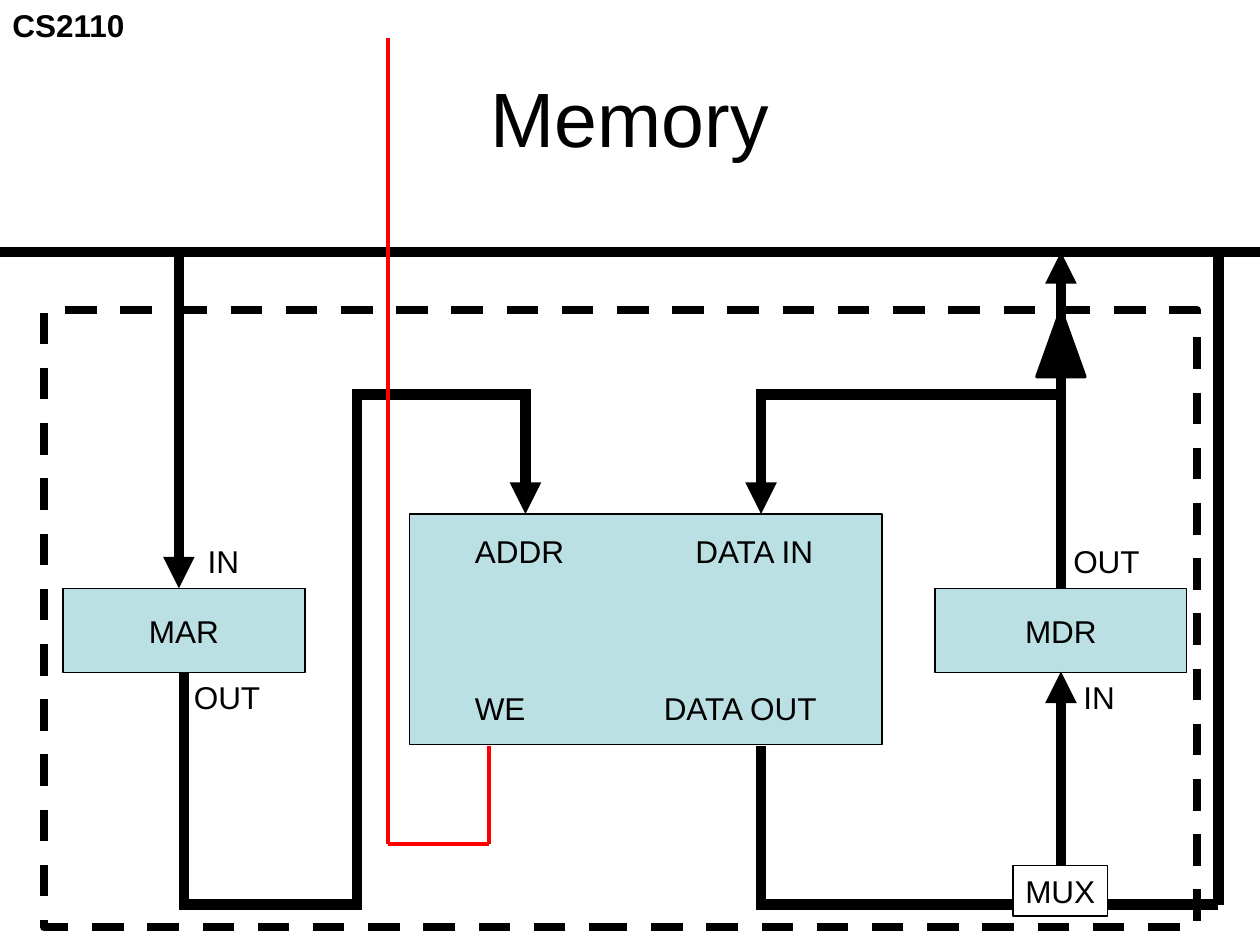
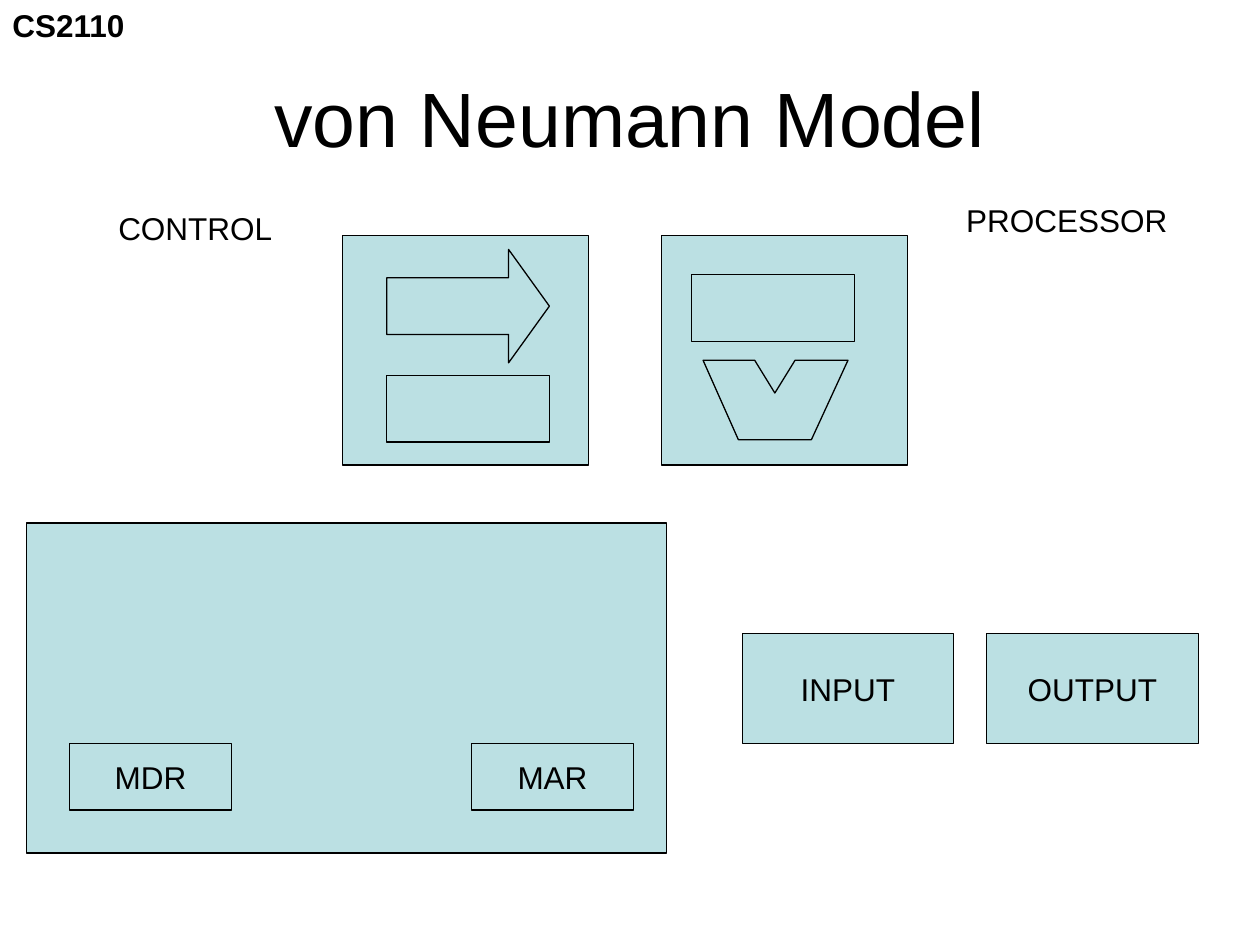
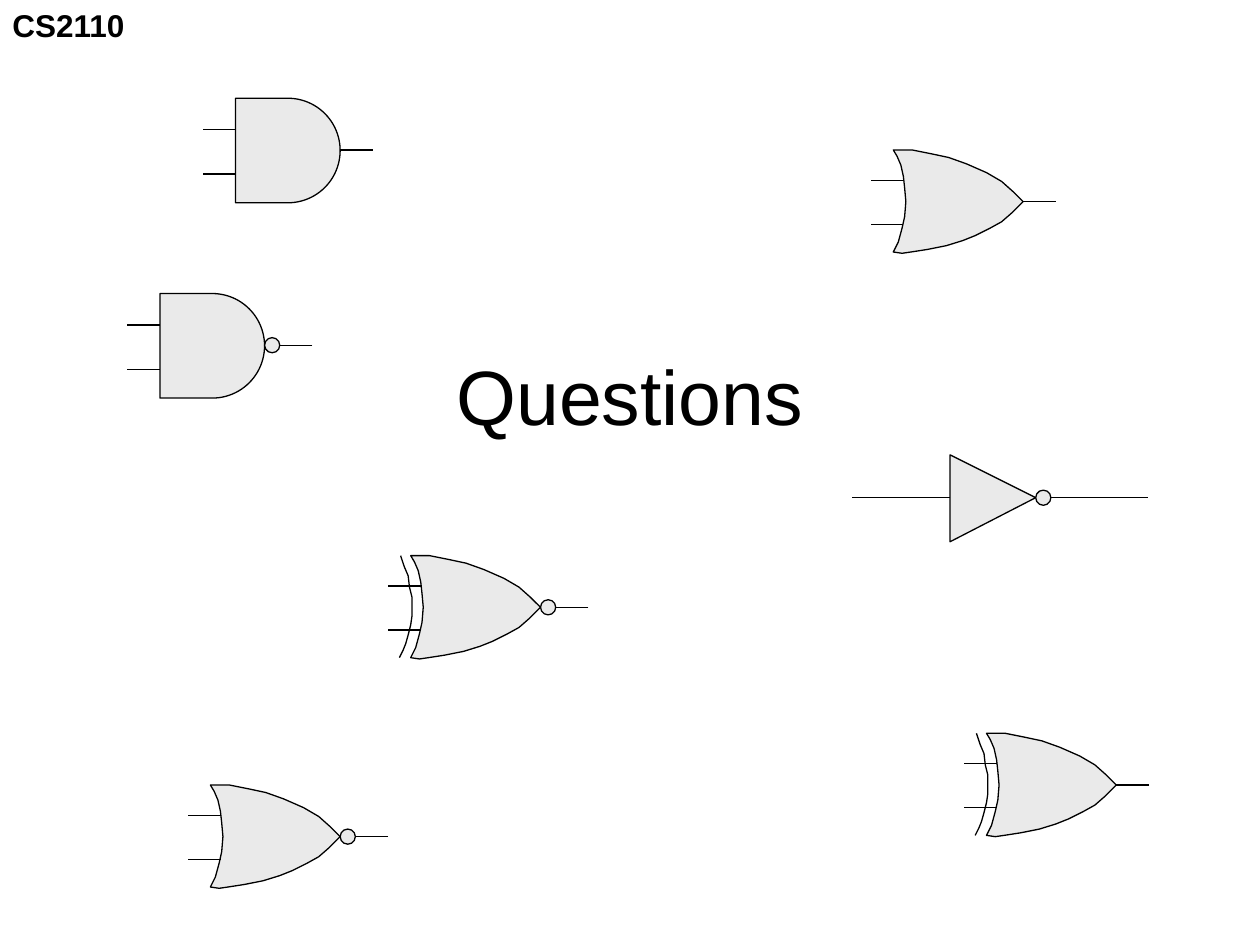
from dataclasses import dataclass

from lxml import etree
from pptx import Presentation
from pptx.dml.color import RGBColor
from pptx.enum import dml, shapes, text
from pptx.oxml import ns
from pptx.util import Inches, Pt

BLACK = RGBColor(0x00, 0x00, 0x00)
WHITE = RGBColor(0xFF, 0xFF, 0xFF)
RED = RGBColor(0xFF, 0x00, 0x00)
TEAL = RGBColor(0xBB, 0xE0, 0xE3)
GREY = RGBColor(0xEA, 0xEA, 0xEA)
FONT = "Arial"
THIN, SIGNAL, WIRE = 0.75, 2.25, 6
MSO = shapes.MSO_SHAPE
LABEL_H = 0.4

# Gate outlines, in hundredths of an inch from the top left of the body
OR_BODY = [(0, 0), (15, 0), (30, 3), (44, 6), (58, 11), (74, 18), (86, 25), (95, 33),
           (103, 41), (94, 50), (86, 57), (77, 62), (65, 68), (55, 72), (42, 76),
           (27, 79), (14, 81), (7, 82), (0, 81), (4, 73), (7, 62), (9, 53), (10, 41),
           (9, 30), (8, 21), (6, 12), (3, 5)]
XOR_ARC = [(-9, 81), (-6, 75), (-4, 70), (-2, 63), (0, 55), (1, 48), (1, 41),
           (1, 33), (-1, 25), (-2, 16), (-5, 9), (-7, 3), (-8, 0)]
NOT_BODY = [(0, 0), (0, 69), (68, 34)]
ALU_BODY = [(0, 0), (41, 0), (57, 26), (73, 0), (115, 0), (86, 63), (28, 63)]


def sub(parent, tag, **attrs):
    return etree.SubElement(parent, ns.qn(tag), **attrs)


def write(tf, words, size=18, bold=False, align=text.PP_ALIGN.LEFT):
    p = tf.paragraphs[0]
    p.alignment = align
    r = p.add_run()
    r.text = words
    r.font.name, r.font.size, r.font.bold = FONT, Pt(size), bold
    r.font.color.rgb = BLACK


def paint(sp, fill, weight=THIN):
    sp.shadow.inherit = False
    if fill is None:
        sp.fill.background()
    else:
        sp.fill.solid()
        sp.fill.fore_color.rgb = fill
    sp.line.color.rgb = BLACK
    sp.line.width = Pt(weight)
    return sp


@dataclass
class Region:
    """Draws on a shape tree, measuring in inches from its own corner."""
    tree: object
    x: float = 0
    y: float = 0

    def at(self, x, y):
        return Inches(self.x + x), Inches(self.y + y)

    def box(self, x, y, w, h, words="", fill=TEAL, kind=MSO.RECTANGLE, weight=THIN):
        sp = self.tree.add_shape(kind, *self.at(x, y), Inches(w), Inches(h))
        paint(sp, fill, weight)
        if words:
            tf = sp.text_frame
            tf.word_wrap = False
            tf.vertical_anchor = text.MSO_ANCHOR.MIDDLE
            write(tf, words, align=text.PP_ALIGN.CENTER)
        return sp

    def label(self, x, y, w, words, bold=False):
        tb = self.tree.add_textbox(*self.at(x, y), Inches(w), Inches(LABEL_H))
        tf = tb.text_frame
        tf.word_wrap = False
        tf.auto_size = text.MSO_AUTO_SIZE.SHAPE_TO_FIT_TEXT
        write(tf, words, bold=bold)

    def line(self, x1, y1, x2, y2, color=BLACK, weight=THIN, arrow=False,
             kind=shapes.MSO_CONNECTOR.STRAIGHT):
        c = self.tree.add_connector(kind, *self.at(x1, y1), *self.at(x2, y2))
        c.line.color.rgb = color
        c.line.width = Pt(weight)
        ln = c.line._get_or_add_ln()
        sub(ln, "a:miter", lim="800000")
        if arrow:
            sub(ln, "a:tailEnd", type="triangle")
        sub(c._element.spPr, "a:effectLst")
        return c

    def elbow(self, x1, y1, x2, y2, bends):
        """Upward wire with an arrow; bends are its levels, y and x in turn."""
        mid_x, mid_y = (x1 + x2) / 2, (y1 + y2) / 2
        half_w, half_h = (y1 - y2) / 2, abs(x2 - x1) / 2
        rightward = x2 > x1
        if not rightward:
            half_w = -half_w
        c = self.line(mid_x + half_w, mid_y + half_h, mid_x - half_w, mid_y - half_h,
                      weight=WIRE, arrow=True, kind=shapes.MSO_CONNECTOR.ELBOW)
        pr = c._element.spPr
        pr.find(ns.qn("a:xfrm")).set("rot", str((90 if rightward else 270) * 60000))
        geom = pr.find(ns.qn("a:prstGeom"))
        geom.set("prst", f"bentConnector{len(bends) + 2}")
        guides = geom.find(ns.qn("a:avLst"))
        for i, bend in enumerate(bends):
            share = (bend - x1) / (x2 - x1) if i % 2 else (bend - y1) / (y2 - y1)
            sub(guides, "a:gd", name=f"adj{i + 1}", fmla=f"val {round(share * 100000)}")

    def outline(self, x, y, points, fill, close=True):
        fb = self.tree.build_freeform(*points[0], scale=Inches(0.01))
        fb.add_line_segments(points[1:], close=close)
        paint(fb.convert_to_shape(*self.at(x, y)), fill)


def new_slide(prs, title, x=0.5, y=0.3, w=9, h=1.25):
    s = prs.slides.add_slide(prs.slide_layouts[6])
    Region(s.shapes).label(0, 0, 1.1, "CS2110", bold=True)
    tb = s.shapes.add_textbox(Inches(x), Inches(y), Inches(w), Inches(h))
    tf = tb.text_frame
    tf.word_wrap = True
    tf.vertical_anchor = text.MSO_ANCHOR.MIDDLE
    write(tf, title, size=44, align=text.PP_ALIGN.CENTER)
    return s


# Slide 1: memory with its address and data registers
def memory_datapath(s, x, y, w, h):
    g = Region(s.shapes, x, y)
    bus_y, low_y, high_y = -0.46, 4.72, 0.67
    reg_top, reg_bottom, ram_top, ram_bottom = 2.21, 2.87, 1.62, 3.46
    addr_x, data_x, mdr_x, tap_x = 3.82, 5.69, 8.07, 9.32

    # Memory and registers
    g.box(2.9, ram_top, 3.75, 1.83)
    g.box(0.15, reg_top, 1.92, 0.67, "MAR")
    g.box(7.07, reg_top, 2, 0.67, "MDR")

    # Wires and bus
    g.line(1.07, bus_y, 1.07, reg_top, weight=WIRE, arrow=True)
    g.elbow(1.11, reg_bottom, addr_x, ram_top, [low_y, 2.48, high_y])
    g.elbow(data_x, ram_bottom, mdr_x, reg_bottom, [low_y])
    g.elbow(mdr_x, reg_top, data_x, ram_top, [high_y])
    g.line(mdr_x, 0.71, mdr_x, bus_y, weight=WIRE, arrow=True)
    g.line(-x, bus_y, 10 - x, bus_y, weight=WIRE)
    g.line(tap_x, bus_y, tap_x, low_y, weight=WIRE)
    g.line(tap_x, low_y, mdr_x, low_y, weight=WIRE)

    # Port labels
    for lx, ly, lw, words in [
            (3.32, 1.71, 0.91, "ADDR"), (5.07, 1.71, 1.18, "DATA IN"),
            (3.32, 2.96, 0.6, "WE"), (4.82, 2.96, 1.46, "DATA OUT"),
            (1.2, 1.79, 0.45, "IN"), (1.09, 2.87, 0.73, "OUT"),
            (8.07, 1.79, 0.73, "OUT"), (8.15, 2.87, 0.45, "IN")]:
        g.label(lx, ly, lw, words)

    # Boundary of the unit
    edge = g.box(0, 0, w, h, fill=None, weight=4.5)
    edge.line.dash_style = dml.MSO_LINE.DASH

    # Write-enable signal
    route = [(2.73, -2.16), (2.73, 4.24), (3.53, 4.24), (3.53, ram_bottom)]
    for start, end in zip(route, route[1:]):
        g.line(*start, *end, color=RED, weight=SIGNAL)

    # Multiplexer and tri-state driver
    g.box(7.69, 4.41, 0.75, LABEL_H, "MUX", fill=WHITE)
    g.box(7.88, 0, 0.38, 0.53, fill=BLACK, kind=MSO.ISOSCELES_TRIANGLE, weight=2)


# Slide 2: the units of the model
PART_W, PART_H = 1.29, 0.53


def memory_unit(s, x, y, w, h):
    g = Region(s.shapes, x, y)
    g.box(0, 0, w, h)
    for left, words in [(0.34, "MDR"), (3.53, "MAR")]:
        g.box(left, 1.75, PART_W, PART_H, words)


def control_unit(s, x, y, w, h):
    g = Region(s.shapes, x, y)
    g.box(0, 0, w, h)
    g.box(0.35, 1.11, PART_W, PART_H)
    arrow = g.box(0.35, 0.11, PART_W, 0.9, kind=MSO.RIGHT_ARROW)
    arrow.adjustments[1] = 0.36
    g.label(-1.88, -0.26, 1.42, "CONTROL")


def processor_unit(s, x, y, w, h):
    g = Region(s.shapes, x, y)
    g.box(0, 0, w, h)
    g.outline(0.33, 0.99, ALU_BODY, TEAL)
    g.box(0.24, 0.31, PART_W, PART_H)
    g.label(2.32, -0.32, 1.8, "PROCESSOR")


def devices(s, x, y, w, h):
    g = Region(s.shapes, x, y)
    for i, words in enumerate(["INPUT", "OUTPUT"]):
        g.box(i * 1.94, 0, w, h, words)


# Slide 3: logic gates
@dataclass
class Gate:
    width: float
    mid: float
    inputs: tuple
    input_x: float
    lead_in: float
    lead_out: float


AND = Gate(0.83, 0.41, (0.25, 0.6), 0, 0.26, 0.26)
OR = Gate(1.03, 0.41, (0.24, 0.59), 0.08, 0.26, 0.26)
NOT = Gate(0.68, 0.34, (0.34,), 0, 0.78, 0.77)
BUBBLE = 0.12


def draw_gate(s, x, y, gate, inverted=False, exclusive=False):
    g = Region(s.shapes.add_group_shape().shapes, x, y)
    if exclusive:
        g.outline(0, 0, XOR_ARC, None, close=False)
    if gate is AND:
        g.box(0, 0, gate.width, gate.width, fill=GREY, kind=MSO.FLOWCHART_DELAY)
    else:
        g.outline(0, 0, OR_BODY if gate is OR else NOT_BODY, GREY)
    out_x = gate.width
    if inverted:
        g.box(out_x, gate.mid - BUBBLE / 2, BUBBLE, BUBBLE, fill=GREY, kind=MSO.OVAL)
        out_x += BUBBLE
    for pin_y in gate.inputs:
        g.line(gate.input_x, pin_y, gate.input_x - gate.lead_in, pin_y)
    g.line(out_x + gate.lead_out, gate.mid, out_x, gate.mid)


def main():
    prs = Presentation()
    prs.slide_width, prs.slide_height = Inches(10), Inches(7.5)

    s = new_slide(prs, "Memory")
    memory_datapath(s, 0.35, 2.46, 9.15, 4.9)

    s = new_slide(prs, "von Neumann Model")
    memory_unit(s, 0.21, 4.15, 5.08, 2.62)
    devices(s, 5.89, 5.03, 1.68, 0.87)
    control_unit(s, 2.72, 1.87, 1.95, 1.82)
    processor_unit(s, 5.25, 1.87, 1.95, 1.82)

    s = new_slide(prs, "Questions", 0.75, 2.33, 8.5, 1.61)
    draw_gate(s, 7.54, 3.61, NOT, inverted=True)
    draw_gate(s, 1.67, 6.23, OR, inverted=True)
    draw_gate(s, 1.27, 2.33, AND, inverted=True)
    draw_gate(s, 7.09, 1.19, OR)
    draw_gate(s, 1.87, 0.78, AND)
    draw_gate(s, 7.83, 5.82, OR, exclusive=True)
    draw_gate(s, 3.26, 4.41, OR, inverted=True, exclusive=True)

    prs.save("out.pptx")


if __name__ == "__main__":
    main()
